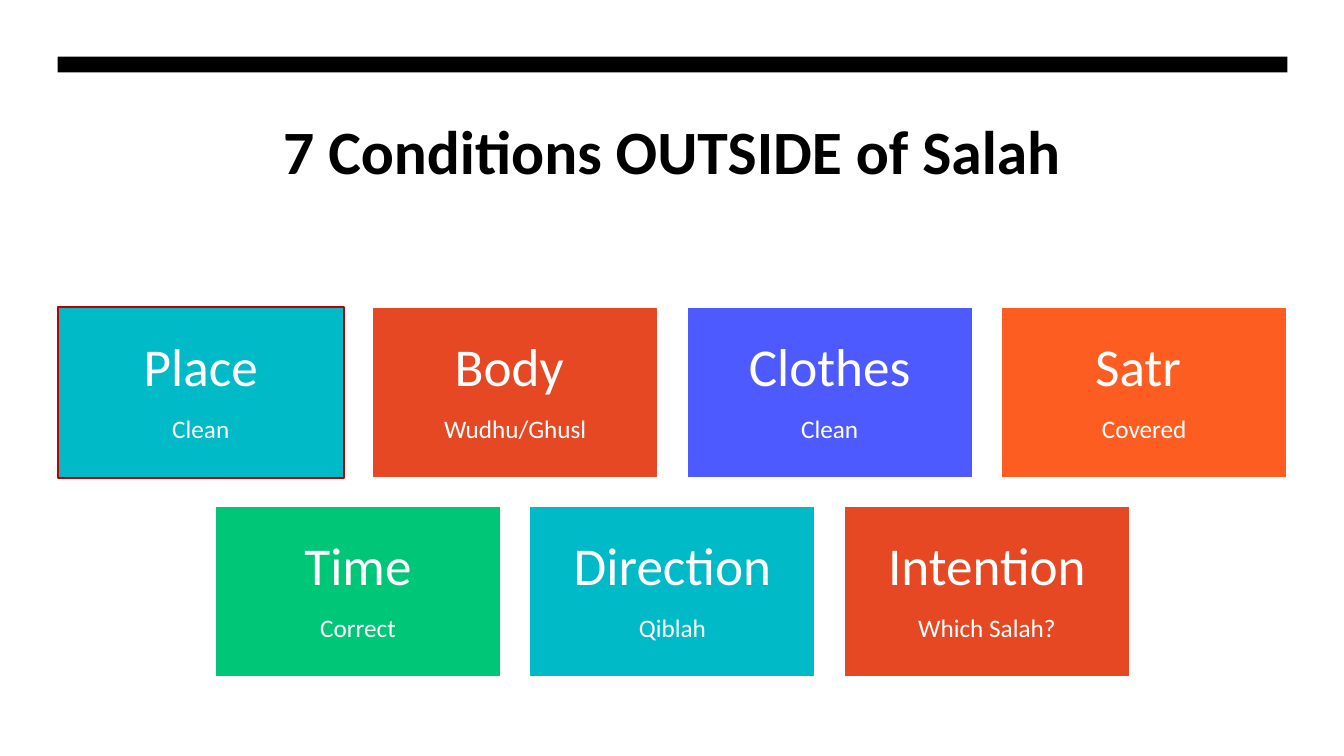
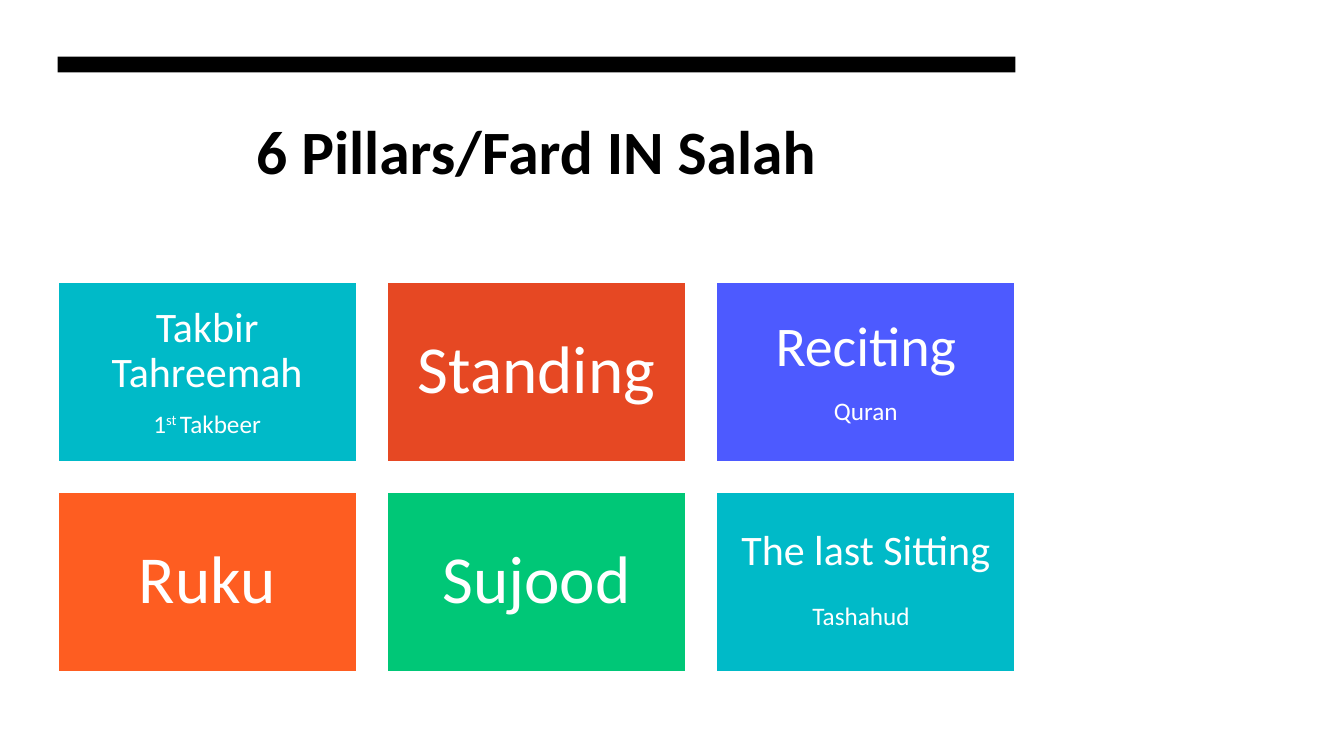
from lxml.etree import SubElement
from pptx import Presentation
from pptx.dml.color import RGBColor
from pptx.enum.shapes import MSO_SHAPE as SHAPE
from pptx.enum.text import MSO_ANCHOR as ANCHOR, PP_ALIGN as ALIGN
from pptx.oxml.ns import qn
from pptx.util import Emu, Pt

BLACK = RGBColor(0x00, 0x00, 0x00)
WHITE = RGBColor(0xFF, 0xFF, 0xFF)
RED = RGBColor(0xC0, 0x00, 0x00)
TILE_FILLS = (
    RGBColor(0x00, 0xBA, 0xC8),
    RGBColor(0xE6, 0x48, 0x23),
    RGBColor(0x4D, 0x5A, 0xFF),
    RGBColor(0xFE, 0x5D, 0x21),
    RGBColor(0x00, 0xC7, 0x77),
)
FONT = "Calibri"
LEFT = 55
DETAIL_SIZE = 18

CONDITIONS = (
    ("Place", 38, ["Clean"]),
    ("Body ", 38, ["Wudhu/Ghusl"]),
    ("Clothes", 38, ["Clean"]),
    ("Satr ", 38, ["Covered"]),
    ("Time", 38, ["Correct"]),
    ("Direction", 38, ["Qiblah"]),
    ("Intention", 38, ["Which Salah?"]),
)
PILLARS = (
    ("Takbir Tahreemah", 30, ["1", ("st ", {"baseline": 30}), "Takbeer"]),
    ("Standing", 48, []),
    ("Reciting", 40, ["Quran"]),
    ("Ruku", 48, []),
    ("Sujood", 48, []),
    ("The last Sitting", 30, ["Tashahud", (" ", {"size": 30})]),
)


def px(n):
    return Emu(round(n * 9525))


def add_text(p, text, size=DETAIL_SIZE, color=WHITE, bold=False, baseline=0):
    r = p.add_run()
    r.text = text
    r.font.name = FONT
    r.font.size = Pt(size)
    r.font.color.rgb = color
    r.font.bold = bold
    if baseline:
        r.font._element.set("baseline", str(baseline * 1000))


def add_rect(slide, x, y, w, h, fill, line=None):
    sp = slide.shapes.add_shape(SHAPE.RECTANGLE, px(x), px(y), px(w), px(h))
    sp.shadow.inherit = False
    sp.fill.solid()
    sp.fill.fore_color.rgb = fill
    if line is None:
        sp.line.fill.background()
    else:
        sp.line.color.rgb = line
        sp.line.width = Pt(1.5)
    return sp


def style_tile_paragraph(p):
    p.alignment = ALIGN.CENTER
    after = SubElement(p._p.get_or_add_pPr(), qn("a:spcAft"))
    SubElement(after, qn("a:spcPct")).set("val", "35000")
    p.line_spacing = 0.9


def add_tile(slide, x, y, w, h, item, fill, line):
    heading, size, detail = item
    tf = add_rect(slide, x, y, w, h, fill, line).text_frame
    tf.word_wrap = True
    tf.vertical_anchor = ANCHOR.MIDDLE
    inset = Pt(size * 0.3)
    tf.margin_left = tf.margin_right = tf.margin_top = tf.margin_bottom = inset
    p = tf.paragraphs[0]
    style_tile_paragraph(p)
    add_text(p, heading, size=size)
    if detail:
        p = tf.add_paragraph()
        style_tile_paragraph(p)
        for part in detail:
            text, opts = (part, {}) if isinstance(part, str) else part
            add_text(p, text, **opts)


def add_header(slide, x, w, title):
    sp = slide.shapes.add_textbox(px(x), px(103), px(w), px(154))
    tf = sp.text_frame
    tf.word_wrap = True
    p = tf.paragraphs[0]
    p.alignment = ALIGN.CENTER
    add_text(p, title, size=44, color=BLACK, bold=True)
    add_rect(slide, x, 54, w, 15, BLACK)


def add_tile_grid(slide, x, y, w, items, cols, tile_h, gap, first_line):
    tile_w = (w - gap * (cols - 1)) / cols
    for i, item in enumerate(items):
        row, col = divmod(i, cols)
        in_row = min(cols, len(items) - row * cols)
        indent = (cols - in_row) * (tile_w + gap) / 2
        add_tile(slide, x + indent + col * (tile_w + gap),
                 y + row * (tile_h + gap), tile_w, tile_h, item,
                 TILE_FILLS[i % len(TILE_FILLS)], WHITE if i else first_line)


def add_tile_slide(prs, title, w, items, cols, top, tile_h, gap, first_line=WHITE):
    slide = prs.slides.add_slide(prs.slide_layouts[6])
    add_header(slide, LEFT, w, title)
    add_tile_grid(slide, LEFT, top, w, items, cols, tile_h, gap, first_line)


def main():
    prs = Presentation()
    prs.slide_width, prs.slide_height = px(1280), px(720)
    add_tile_slide(prs, "7 Conditions OUTSIDE of Salah", 1171, CONDITIONS,
                   cols=4, top=292, tile_h=163, gap=27, first_line=RED)
    add_tile_slide(prs, "6 Pillars/Fard IN Salah", 912, PILLARS,
                   cols=3, top=269, tile_h=171, gap=29)
    prs.save("out.pptx")


if __name__ == "__main__":
    main()
